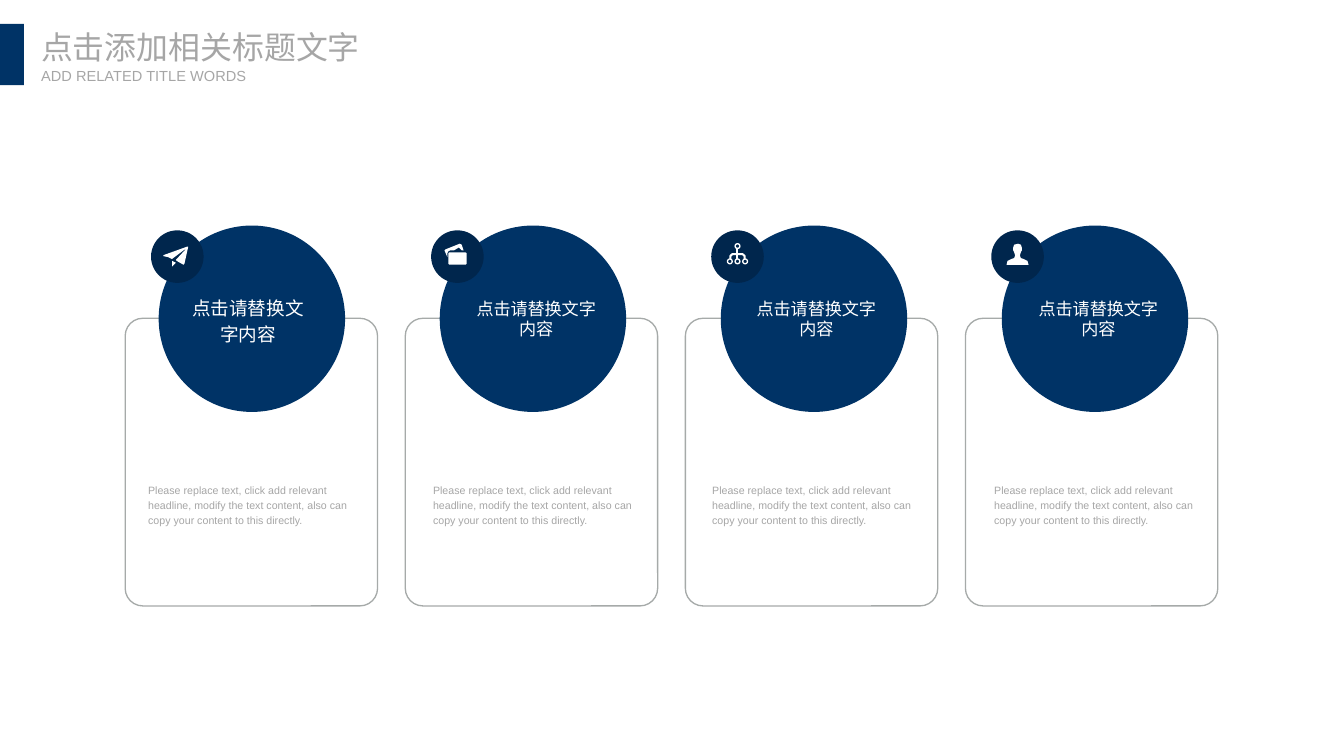
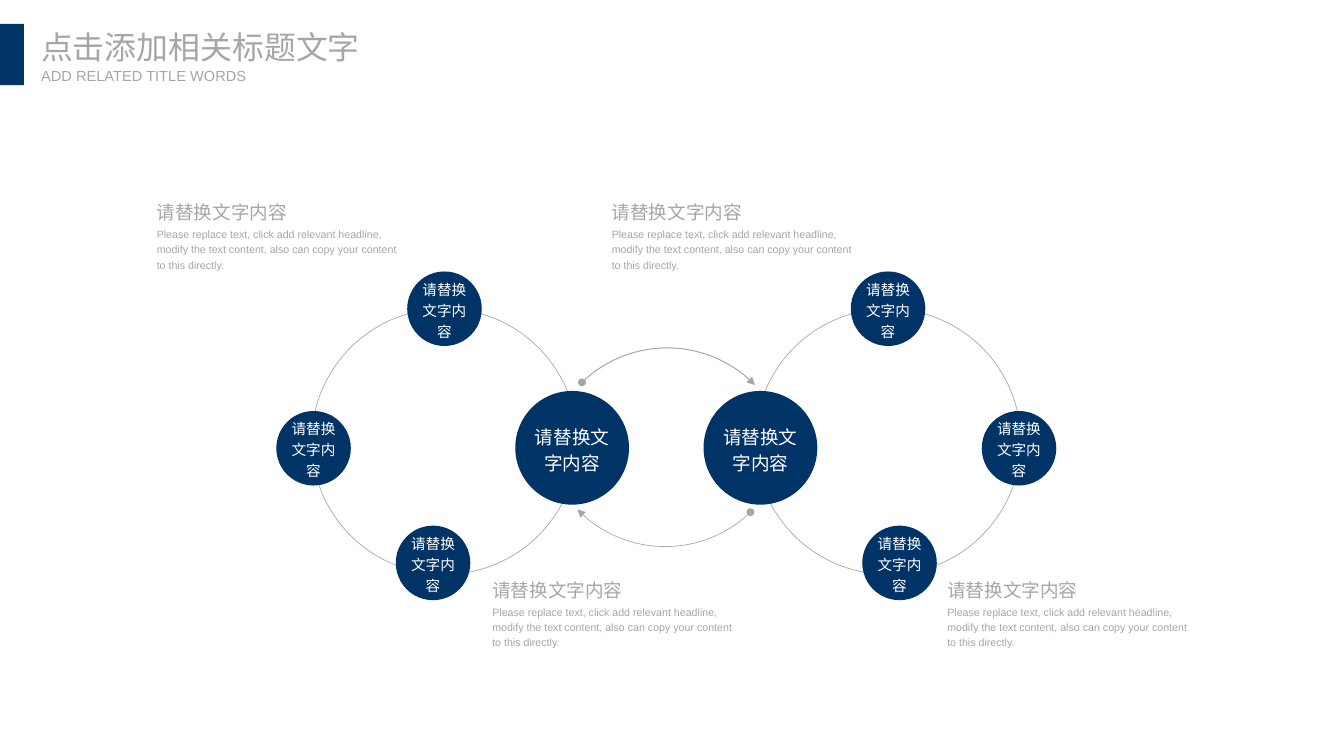
from pptx import Presentation
from pptx.dml.color import RGBColor
from pptx.enum.shapes import MSO_CONNECTOR, MSO_SHAPE
from pptx.enum.text import MSO_ANCHOR as ANCHOR, MSO_AUTO_SIZE, PP_ALIGN as ALIGN
from pptx.oxml.xmlchemy import OxmlElement
from pptx.util import Inches, Pt

NAVY = RGBColor(0x00, 0x33, 0x66)
DARK_NAVY = RGBColor(0x00, 0x26, 0x4D)
GREY = RGBColor(0xA6, 0xA6, 0xA6)
CARD_GREY = RGBColor(0xA6, 0xAA, 0xA9)
WHITE = RGBColor(0xFF, 0xFF, 0xFF)
LATIN, CHINESE = "Arial", "Noto Sans CJK SC"

TITLE = "点击添加相关标题文字"
SUBTITLE = "ADD RELATED TITLE WORDS"
CARD_TITLE = "点击请替换文字内容"
LABEL = "请替换文字内容"
BODY = ("Please replace text, click add relevant headline, modify the text content, "
        "also can copy your content to this directly.")

CARD_STEP = 2.93
MIRROR_SUM = 13.94

PLANE = [
    [(1.80, 2.79), (1.84, 2.75), (1.80, 2.73)],
    [(1.96, 2.58), (1.71, 2.67), (1.71, 2.68), (1.76, 2.69), (1.80, 2.71), (1.96, 2.59),
     (1.84, 2.72), (1.85, 2.73), (1.92, 2.77), (1.93, 2.76), (1.97, 2.58)],
]
FOLDER = [
    [(4.85, 2.62), (4.83, 2.56), (4.81, 2.55), (4.66, 2.61), (4.65, 2.62), (4.68, 2.69),
     (4.68, 2.65), (4.69, 2.63), (4.71, 2.62), (4.75, 2.62), (4.80, 2.59), (4.83, 2.62)],
    [(4.87, 2.64), (4.70, 2.64), (4.69, 2.65), (4.69, 2.76), (4.70, 2.77), (4.87, 2.77),
     (4.88, 2.76), (4.88, 2.65)],
]
PERSON = [
    [(10.71, 2.71), (10.68, 2.70), (10.67, 2.67), (10.68, 2.64), (10.69, 2.62),
     (10.69, 2.59), (10.68, 2.56), (10.65, 2.55), (10.61, 2.56), (10.60, 2.59),
     (10.60, 2.62), (10.61, 2.64), (10.62, 2.67), (10.61, 2.70), (10.58, 2.71),
     (10.54, 2.73), (10.53, 2.77), (10.76, 2.77), (10.75, 2.73)],
]
TREE_BRANCH = [(7.64, 2.72), (7.64, 2.68), (7.66, 2.66), (7.77, 2.66), (7.79, 2.68),
               (7.79, 2.72)]
TREE_NODES = [(7.69, 2.55), (7.61, 2.71), (7.69, 2.71), (7.77, 2.71)]


def paint(shape, fill=None, line=None, weight=1):
    shape.shadow.inherit = False
    if fill is None:
        shape.fill.background()
    else:
        shape.fill.solid()
        shape.fill.fore_color.rgb = fill
    if line is None:
        shape.line.fill.background()
    else:
        shape.line.color.rgb = line
        shape.line.width = Pt(weight)


def add_preset(page, kind, left, top, width, height, **colours):
    shape = page.shapes.add_shape(
        kind, Inches(left), Inches(top), Inches(width), Inches(height))
    paint(shape, **colours)
    return shape


def add_circle(page, left, top, size, **colours):
    return add_preset(page, MSO_SHAPE.OVAL, left, top, size, size, **colours)


def write(box, text, size, colour, font=LATIN, align=ALIGN.LEFT,
          anchor=ANCHOR.TOP, spacing=1.0, wrap=True):
    frame = box.text_frame
    frame.text = text
    frame.word_wrap = wrap
    frame.auto_size = MSO_AUTO_SIZE.NONE
    frame.vertical_anchor = anchor
    frame.margin_left = frame.margin_right = frame.margin_top = frame.margin_bottom = 0
    para = frame.paragraphs[0]
    para.alignment = align
    para.line_spacing = spacing
    span = para.runs[0]
    span.font.size = Pt(size)
    span.font.name = font
    span.font.color.rgb = colour
    east_asian = OxmlElement("a:ea")
    east_asian.set("typeface", CHINESE)
    span.font._element.find("{*}latin").addnext(east_asian)


def add_text(page, left, top, width, height, text, size, colour, **style):
    box = page.shapes.add_textbox(
        Inches(left), Inches(top), Inches(width), Inches(height))
    write(box, text, size, colour, **style)


def add_header(page):
    add_preset(page, MSO_SHAPE.RECTANGLE, 0, 0.25, 0.25, 0.64, fill=NAVY)
    title = page.shapes.title
    title.left, title.top = Inches(0.43), Inches(0.29)
    title.width, title.height = Inches(3.37), Inches(0.4)
    write(title, TITLE, 24, GREY, font=CHINESE, wrap=False)
    add_text(page, 0.43, 0.7, 2.18, 0.19, SUBTITLE, 11, GREY, wrap=False)


def add_outline(page, points, closed=True, **colours):
    corners = [(Inches(x), Inches(y)) for x, y in points]
    builder = page.shapes.build_freeform(*corners[0], scale=1.0)
    builder.add_line_segments(corners[1:], close=closed)
    paint(builder.convert_to_shape(), **colours)


def add_tree_icon(page):
    add_outline(page, TREE_BRANCH, closed=False, line=WHITE, weight=1.5)
    stem = page.shapes.add_connector(
        MSO_CONNECTOR.STRAIGHT, Inches(7.71), Inches(2.6), Inches(7.71), Inches(2.71))
    stem.line.color.rgb = WHITE
    stem.line.width = Pt(1.5)
    stem._element.spPr.append(OxmlElement("a:effectLst"))
    for left, top in TREE_NODES:
        add_circle(page, left, top, 0.05, fill=DARK_NAVY, line=WHITE, weight=1)


def add_card(page, index, title_box, title_size, title_spacing, body_left, body_width):
    offset = index * CARD_STEP
    frame = add_preset(page, MSO_SHAPE.ROUNDED_RECTANGLE, 1.31 + offset, 3.33, 2.64, 3.01,
                       line=CARD_GREY, weight=1)
    frame.adjustments[0] = 0.07
    add_circle(page, 1.66 + index * 2.94, 2.36, 1.95, fill=NAVY)
    add_circle(page, 1.58 + offset, 2.41, 0.55, fill=DARK_NAVY)
    title_left, title_width = title_box
    add_text(page, title_left, 3.11, title_width, 0.45, CARD_TITLE, title_size, WHITE,
             align=ALIGN.CENTER, anchor=ANCHOR.MIDDLE, spacing=title_spacing)
    add_text(page, body_left, 4.62, body_width, 1.31, BODY, 8, GREY,
             anchor=ANCHOR.MIDDLE, spacing=1.2)


def add_node(page, left, top, size, text_size):
    node = add_circle(page, left, top, size, fill=NAVY)
    write(node, LABEL, text_size, WHITE, align=ALIGN.CENTER,
          anchor=ANCHOR.MIDDLE, spacing=1.2)


def add_cycle(page, mirrored):
    def place(left, size):
        return MIRROR_SUM - left - size if mirrored else left

    add_circle(page, place(3.26, 2.78), 3.23, 2.78, line=GREY, weight=0.5)
    add_node(page, place(5.39, 1.19), 4.09, 1.19, 14)
    for left, top in [(2.89, 4.3), (4.26, 2.84), (4.14, 5.5)]:
        add_node(page, place(left, 0.78), top, 0.78, 11)


def add_arc_arrow(page, left, top, start, weight):
    arc = add_preset(page, MSO_SHAPE.ARC, left, top, 2.56, 2.56, line=GREY, weight=weight)
    for index, degrees in enumerate((start, start + 90)):
        arc.adjustments[index] = degrees * 0.6
    line = arc.line._get_or_add_ln()
    for end, kind in [("a:headEnd", "oval"), ("a:tailEnd", "triangle")]:
        marker = OxmlElement(end)
        marker.set("type", kind)
        line.append(marker)


def add_caption(page, left, top):
    add_text(page, left, top, 1.37, 0.28, LABEL, 14, GREY, spacing=1.2, wrap=False)
    add_text(page, left, top + 0.3, 2.58, 0.48, BODY, 8, GREY, spacing=1.2)


def build_cards(page):
    add_header(page)
    add_card(page, 0, (1.94, 1.31), 14, 1.2, 1.55, 2.17)
    for index, title_left, body_left in [(1, 4.91, 4.53), (2, 7.84, 7.45), (3, 10.79, 10.4)]:
        add_card(page, index, (title_left, 1.4), 12.9, 1.0, body_left, 2.09)
    for points in PLANE + FOLDER + PERSON:
        add_outline(page, points, fill=WHITE)
    add_tree_icon(page)


def build_cycles(page):
    add_header(page)
    for mirrored in (False, True):
        add_cycle(page, mirrored)
    add_arc_arrow(page, 5.7, 3.64, 225.9, 0.75)
    add_arc_arrow(page, 5.68, 3.16, 45.9, 0.5)
    for left, top in [(1.64, 2.06), (6.4, 2.06), (5.15, 6.01), (9.91, 6.01)]:
        add_caption(page, left, top)


def main():
    deck = Presentation()
    deck.slide_width, deck.slide_height = Inches(14.06), Inches(7.91)
    for build in (build_cards, build_cycles):
        build(deck.slides.add_slide(deck.slide_layouts[5]))
    deck.save("out.pptx")


if __name__ == "__main__":
    main()
